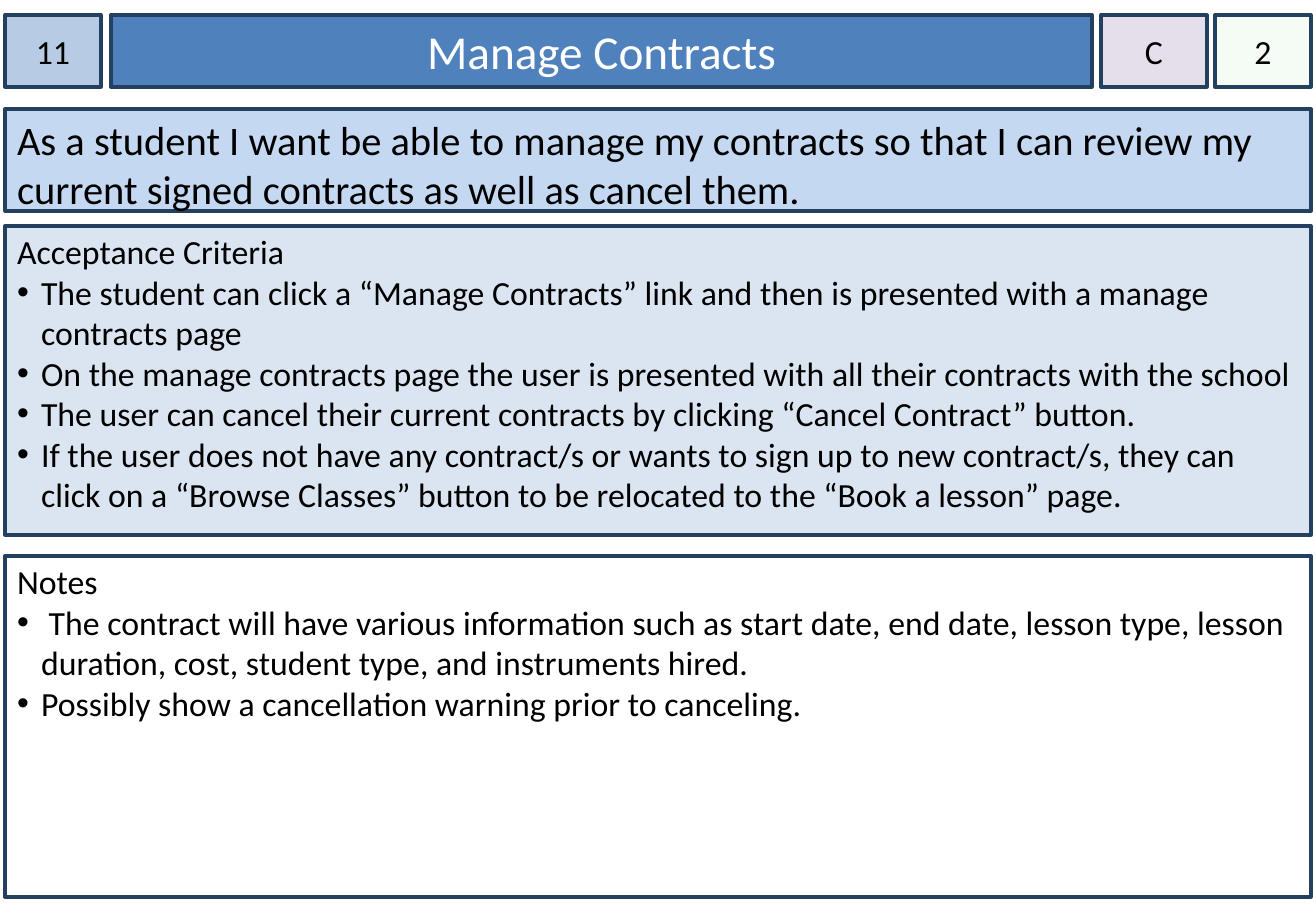
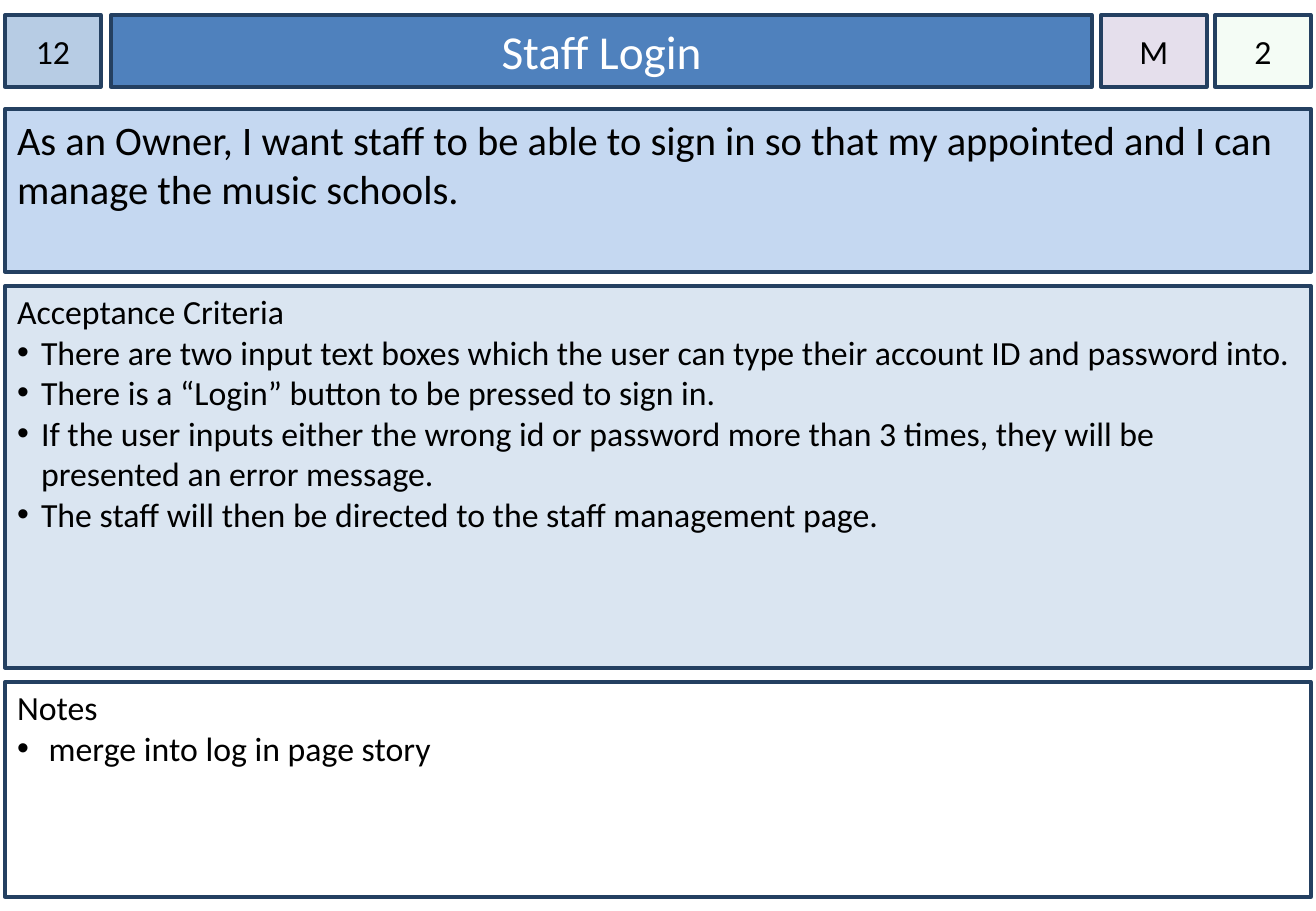
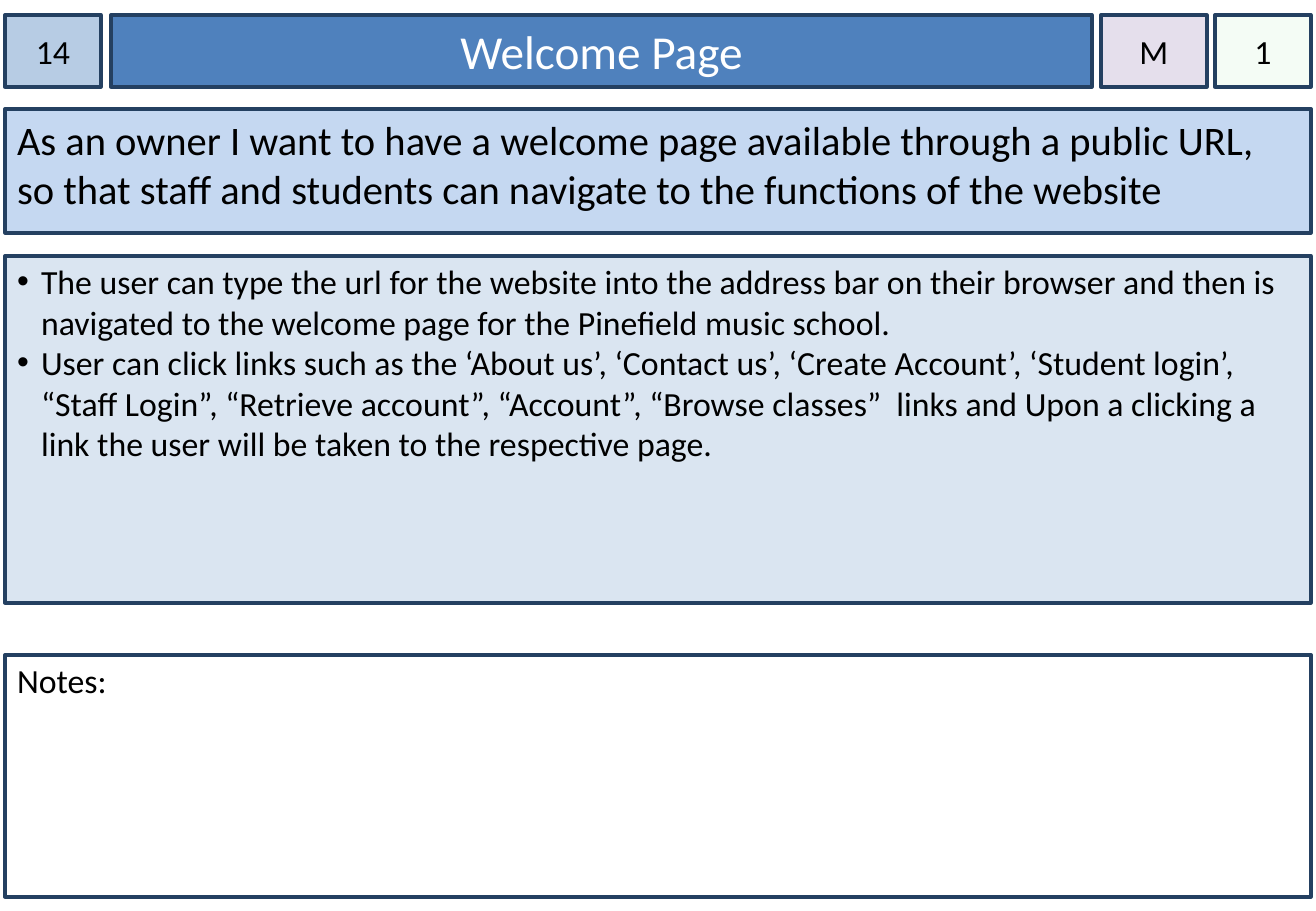
from lxml.etree import SubElement
from pptx import Presentation
from pptx.dml.color import RGBColor
from pptx.enum.shapes import MSO_SHAPE
from pptx.enum.text import MSO_ANCHOR, MSO_AUTO_SIZE, PP_ALIGN
from pptx.oxml.ns import qn
from pptx.util import Pt

# Shared measures, in pixels, and colours
PX = 7526
SLIDE_W, SLIDE_H = 1316, 911
LEFT, FULL_W = 5, 1306
HEADER_TOP, HEADER_H = 15, 72
STORY_TOP, NOTES_BOTTOM = 109, 897
INDENT = 24
FONT = "Calibri"

BLACK = RGBColor(0x00, 0x00, 0x00)
WHITE = RGBColor(0xFF, 0xFF, 0xFF)
BORDER = RGBColor(0x24, 0x40, 0x61)
NUMBER_FILL = RGBColor(0xB7, 0xCC, 0xE4)
TITLE_FILL = RGBColor(0x4F, 0x81, 0xBD)
STORY_FILL = RGBColor(0xC5, 0xD8, 0xF1)
CRITERIA_FILL = RGBColor(0xDA, 0xE5, 0xF1)
PRIORITY_FILL = RGBColor(0xE5, 0xDF, 0xEC)
POINTS_FILL = RGBColor(0xCC, 0xF0, 0xCD)
POINTS_OPACITY = 20

# Story cards: panels are (top, height); a list is (heading, bullets)
CARDS = [
    {
        "number": "11", "title": "Manage Contracts", "priority": "C", "points": "2",
        "story": "As a student I want be able to manage my contracts so that I can "
                 "review my current signed contracts as well as cancel them.",
        "story_h": 102, "criteria_at": (226, 309), "notes_top": 556,
        "criteria": ("Acceptance Criteria", [
            "The student can click a “Manage Contracts” link and then is presented "
            "with a manage contracts page",
            "On the manage contracts page the user is presented with all their "
            "contracts with the school",
            "The user can cancel their current contracts by clicking “Cancel "
            "Contract” button.",
            "If the user does not have any contract/s or wants to sign up to new "
            "contract/s, they can click on a “Browse Classes” button to be "
            "relocated to the “Book a lesson” page.",
        ]),
        "notes": ("Notes", [
            " The contract will have various information such as start date, end "
            "date, lesson type, lesson duration, cost, student type, and "
            "instruments hired.",
            "Possibly show a cancellation warning prior to canceling.",
        ]),
    },
    {
        "number": "12", "title": "Staff Login", "priority": "M", "points": "2",
        "story": "As an Owner, I want staff to be able to sign in so that my "
                 "appointed and I can manage the music schools.",
        "story_h": 163, "criteria_at": (286, 382), "notes_top": 682,
        "criteria": ("Acceptance Criteria", [
            "There are two input text boxes which the user can type their account "
            "ID and password into.",
            "There is a “Login” button to be pressed to sign in.",
            "If the user inputs either the wrong id or password more than 3 times, "
            "they will be presented an error message.",
            "The staff will then be directed to the staff management page.",
        ]),
        "notes": ("Notes", [" merge into log in page story"]),
    },
    {
        "number": "14", "title": "Welcome Page", "priority": "M", "points": "1",
        "story": "As an owner I want to have a welcome page available through a "
                 "public URL, so that staff and students can navigate to the "
                 "functions of the website",
        "story_h": 124, "criteria_at": (256, 347), "notes_top": 655,
        "criteria": (None, [
            "The user can type the url for the website into the address bar on "
            "their browser and then is navigated to the welcome page for the "
            "Pinefield music school.",
            "User can click links such as the ‘About us’, ‘Contact us’, ‘Create "
            "Account’, ‘Student login’, “Staff Login”, “Retrieve account”, "
            "“Account”, “Browse classes”  links and Upon a clicking a link the "
            "user will be taken to the respective page.",
        ]),
        "notes": ("Notes:", []),
    },
]


def frame(box, x, y, w, h, fill, anchor=MSO_ANCHOR.TOP, side=12, top=6):
    """Place a bordered panel and set up its text area."""
    box.left, box.top, box.width, box.height = (n * PX for n in (x, y, w, h))
    box.shadow.inherit = False
    box.fill.solid()
    box.fill.fore_color.rgb = fill
    box.line.color.rgb = BORDER
    box.line.width = Pt(2)
    area = box.text_frame
    area.word_wrap = True
    area.auto_size = MSO_AUTO_SIZE.NONE
    area.vertical_anchor = anchor
    area.margin_left = area.margin_right = side * PX
    area.margin_top, area.margin_bottom = top * PX, 6 * PX
    return area


def write(paragraph, text, size, color=BLACK, align=PP_ALIGN.LEFT, bullet=False):
    """Add one run and set the paragraph's alignment and bullet."""
    paragraph.alignment = align
    paragraph.space_before = Pt(0)
    run = paragraph.add_run()
    run.text = text
    run.font.name = FONT
    run.font.size = Pt(size)
    run.font.color.rgb = color
    props = paragraph._p.get_or_add_pPr()
    indent = INDENT * PX if bullet else 0
    props.set("marL", str(indent))
    props.set("indent", str(-indent))
    if bullet:
        bullet_color = SubElement(props, qn("a:buClr"))
        SubElement(bullet_color, qn("a:srgbClr"), val=str(BLACK))
        SubElement(props, qn("a:buFont"), typeface="Arial")
        SubElement(props, qn("a:buChar"), char="•")
    else:
        SubElement(props, qn("a:buNone"))


deck = Presentation()
deck.slide_width, deck.slide_height = SLIDE_W * PX, SLIDE_H * PX
two_content = deck.slide_layouts[3]

for card in CARDS:
    slide = deck.slides.add_slide(two_content)
    title, criteria, notes = slide.placeholders

    # Title band
    area = frame(title, 111, HEADER_TOP, 981, HEADER_H, TITLE_FILL, MSO_ANCHOR.MIDDLE)
    write(area.paragraphs[0], card["title"], 28, WHITE, PP_ALIGN.CENTER)

    # Number, priority and points beside the title
    for field, x, w, fill in (
        ("number", LEFT, 96, NUMBER_FILL),
        ("priority", 1101, 106, PRIORITY_FILL),
        ("points", 1215, 96, POINTS_FILL),
    ):
        badge = slide.shapes.add_shape(MSO_SHAPE.RECTANGLE, 0, 0, PX, PX)
        area = frame(badge, x, HEADER_TOP, w, HEADER_H, fill, MSO_ANCHOR.MIDDLE, side=0)
        write(area.paragraphs[0], card[field], 20, align=PP_ALIGN.CENTER)
        if field == "points":
            tint = badge._element.spPr.find(qn("a:solidFill")).find(qn("a:srgbClr"))
            SubElement(tint, qn("a:alpha"), val=str(POINTS_OPACITY * 1000))

    # User story
    story = slide.shapes.add_shape(MSO_SHAPE.RECTANGLE, 0, 0, PX, PX)
    area = frame(story, LEFT, STORY_TOP, FULL_W, card["story_h"], STORY_FILL)
    write(area.paragraphs[0], card["story"], 24)

    # Acceptance criteria and notes
    criteria_top, criteria_h = card["criteria_at"]
    notes_top = card["notes_top"]
    for panel, top, height, fill, (heading, bullets) in (
        (criteria, criteria_top, criteria_h, CRITERIA_FILL, card["criteria"]),
        (notes, notes_top, NOTES_BOTTOM - notes_top, WHITE, card["notes"]),
    ):
        area = frame(panel, LEFT, top, FULL_W, height, fill, top=5)
        lines = [(heading, False)] if heading else []
        lines += [(text, True) for text in bullets]
        for i, (text, bullet) in enumerate(lines):
            paragraph = area.add_paragraph() if i else area.paragraphs[0]
            write(paragraph, text, 20, bullet=bullet)

deck.save("out.pptx")
